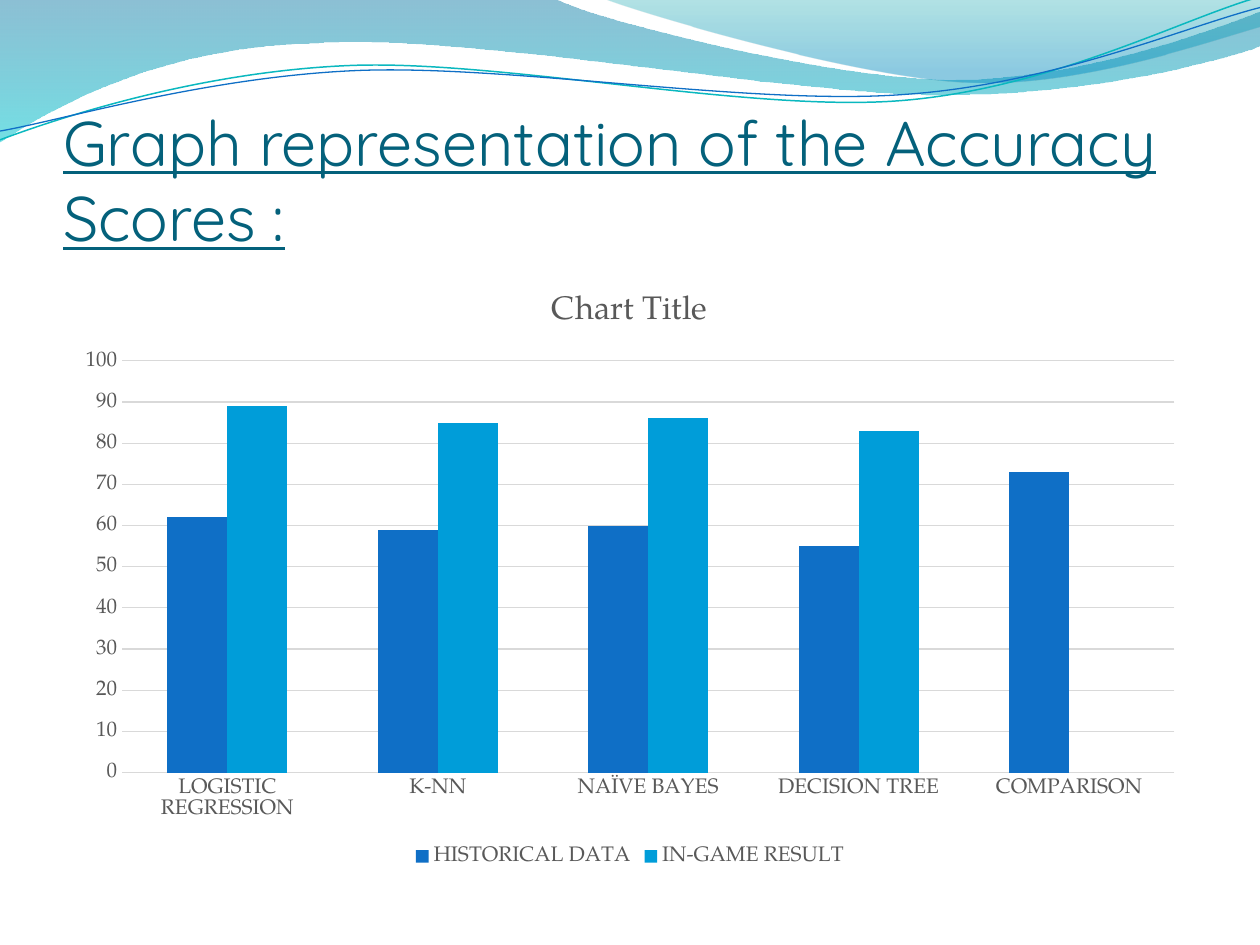
from dataclasses import dataclass
from math import cos, radians, sin

from lxml.etree import SubElement
from pptx import Presentation
from pptx.chart.data import CategoryChartData
from pptx.dml.color import RGBColor
from pptx.enum.chart import XL_CHART_TYPE as ChartType
from pptx.enum.chart import XL_LEGEND_POSITION as LegendPos
from pptx.enum.chart import XL_TICK_MARK as Tick
from pptx.enum.text import MSO_ANCHOR as Anchor
from pptx.enum.text import MSO_AUTO_SIZE as AutoSize
from pptx.enum.text import PP_ALIGN as Align
from pptx.oxml.ns import qn
from pptx.util import Inches, Pt


@dataclass(frozen=True)
class Theme:
    title_font: str = "Quicksand"
    body_font: str = "TeX Gyre Pagella"
    title_size: float = 36
    chart_title_size: float = 18.6
    label_size: float = 12
    title: str = "04617B"
    label: str = "595959"
    grid: str = "D9D9D9"
    series: tuple = ("0F6FC6", "009DD9")
    teal_line: str = "0AB8BF"
    # Gradient stops: position, colour, opacity in percent
    wide_wave: tuple = ((0, "0074A1", 45), (1, "00C6CF", 55))
    right_wave: tuple = ((0, "00A1A9", 30), (0.8, "008BBF", 45))


# Each wave: a start point, then segments of one point (line) or three (curve)
WIDE_WAVE = ((0, 0), [
    [(4.4, -0.01)],
    [(4.76, 0.17), (6.64, 0.63), (7.58, 0.63)],
    [(8.53, 0.63), (9.58, 0.26), (10, 0.09)],
    [(10.01, 0.36)],
    [(9.83, 0.44), (8.7, 0.76), (7.46, 0.75)],
    [(6.22, 0.75), (3.82, 0.28), (2.57, 0.34)],
    [(1.29, 0.36), (0.46, 0.83), (-0.01, 1.13)],
    [(0, 0)],
])
RIGHT_WAVE = ((4.79, -0.01), [
    [(5.09, 0.11), (6.82, 0.62), (7.69, 0.65)],
    [(8.56, 0.69), (9.61, 0.32), (10, 0.21)],
    [(10, 0)],
    [(4.79, -0.01)],
])
TEAL_LINE = ((0, 1.11), [
    [(0.48, 0.93), (1.58, 0.57), (2.77, 0.52)],
    [(3.95, 0.47), (5.93, 0.89), (7.13, 0.8)],
    [(8.33, 0.71), (9.38, 0.15), (9.98, -0.02)],
])
BLUE_LINE = ((0, 1.04), [
    [(0.47, 0.96), (1.64, 0.61), (2.83, 0.56)],
    [(4.03, 0.51), (5.97, 0.84), (7.17, 0.75)],
    [(8.36, 0.67), (9.41, 0.21), (10, 0.06)],
])
LINE_TILT = -2.7
LINE_CENTER = (4.99, 0.58)

SCORES = {
    "HISTORICAL DATA": (62, 59, 60, 55, 73),
    "IN-GAME RESULT": (89, 85, 86, 83, None),
}
MODELS = ("LOGISTIC REGRESSION", "K-NN", "NAÏVE BAYES", "DECISION TREE", "COMPARISON")


def rgb(value):
    return RGBColor.from_string(value)


def turn(point, degrees, center):
    """Turn a point clockwise about a center."""
    a = radians(degrees)
    dx, dy = point[0] - center[0], point[1] - center[1]
    return center[0] + dx * cos(a) - dy * sin(a), center[1] + dx * sin(a) + dy * cos(a)


class SlideBuilder:
    def __init__(self, slide, theme):
        self.s = slide
        self.theme = theme

    def outline(self, wave, close, tilt=0):
        """Build a freeform, joining each three-point segment into a Bézier curve."""
        start, segments = wave
        points = [start] + [point for segment in segments for point in segment]
        points = [turn(point, -tilt, LINE_CENTER) for point in points]
        points = [(Inches(x), Inches(y)) for x, y in points]
        builder = self.s.shapes.build_freeform(*points[0])
        builder.add_line_segments(points[1:], close=close)
        sp = builder.convert_to_shape()
        sp.rotation = tilt
        sp.shadow.inherit = False
        lines = iter(list(sp.element.iter(qn("a:lnTo"))))
        for segment in segments:
            parts = [next(lines) for _ in segment]
            if len(parts) == 3:
                curve = parts[0]
                curve.tag = qn("a:cubicBezTo")
                for part in parts[1:]:
                    curve.append(part[0])
                    part.getparent().remove(part)
        return sp

    def wave(self, wave, stops):
        sp = self.outline(wave, close=True)
        sp.line.fill.background()
        sp.fill.gradient()
        sp.fill.gradient_angle = 270
        for stop, (position, color, _) in zip(sp.fill.gradient_stops, stops):
            stop.position = position
            stop.color.rgb = rgb(color)
        colors = sp.element.spPr.iter(qn("a:srgbClr"))
        for clr, (_, _, opacity) in zip(colors, stops):
            SubElement(clr, qn("a:alpha"), val=str(opacity * 1000))

    def curve(self, wave, color, width):
        sp = self.outline(wave, close=False, tilt=LINE_TILT)
        sp.fill.background()
        sp.line.color.rgb = rgb(color)
        sp.line.width = Pt(width)

    def title(self, text, left, top, width, height):
        sp = self.s.shapes.title
        self.s.shapes.element.append(sp.element)  # bring in front of the waves
        sp.left, sp.top = Inches(left), Inches(top)
        sp.width, sp.height = Inches(width), Inches(height)
        tf = sp.text_frame
        tf.word_wrap = True
        tf.auto_size = AutoSize.NONE
        tf.vertical_anchor = Anchor.BOTTOM
        tf.margin_left = tf.margin_right = tf.margin_bottom = 0
        tf.margin_top = Inches(0.05)
        p = tf.paragraphs[0]
        p.alignment = Align.LEFT
        r = p.add_run()
        r.text = text
        self.format_font(r.font, self.theme.title_size, self.theme.title,
                         self.theme.title_font)
        r.font.underline = True

    def format_font(self, font, size, color, name):
        font.size = Pt(size)
        font.name = name
        font.bold = False
        font.color.rgb = rgb(color)

    def column_chart(self, title, categories, series, left, top, width, height):
        theme = self.theme
        data = CategoryChartData()
        data.categories = categories
        for name, values in series.items():
            data.add_series(name, values)
        chart = self.s.shapes.add_chart(
            ChartType.COLUMN_CLUSTERED, Inches(left), Inches(top),
            Inches(width), Inches(height), data).chart

        chart.has_title = True
        r = chart.chart_title.text_frame.paragraphs[0].add_run()
        r.text = title
        self.format_font(r.font, theme.chart_title_size, theme.label, theme.body_font)
        chart.chart_title.include_in_layout = False

        chart.has_legend = True
        chart.legend.position = LegendPos.BOTTOM
        chart.legend.include_in_layout = False
        for part in (chart, chart.legend, chart.category_axis.tick_labels,
                     chart.value_axis.tick_labels):
            self.format_font(part.font, theme.label_size, theme.label, theme.body_font)

        for axis in (chart.category_axis, chart.value_axis):
            axis.major_tick_mark = axis.minor_tick_mark = Tick.NONE
            axis.format.line.fill.background()
        axis = chart.value_axis
        axis.minimum_scale, axis.maximum_scale, axis.major_unit = 0, 100, 10
        axis.major_gridlines.format.line.color.rgb = rgb(theme.grid)
        axis.major_gridlines.format.line.width = Pt(0.75)

        plot = chart.plots[0]
        plot.gap_width, plot.overlap = 150, 0
        plot.vary_by_categories = False
        for bars, color in zip(plot.series, theme.series):
            bars.format.fill.solid()
            bars.format.fill.fore_color.rgb = rgb(color)


def main():
    prs = Presentation()
    prs.slide_width, prs.slide_height = Inches(10), Inches(7.5)
    theme = Theme()
    slide = SlideBuilder(prs.slides.add_slide(prs.slide_layouts[5]), theme)
    slide.wave(WIDE_WAVE, theme.wide_wave)
    slide.wave(RIGHT_WAVE, theme.right_wave)
    slide.curve(TEAL_LINE, theme.teal_line, 0.85)
    slide.curve(BLUE_LINE, theme.series[0], 0.75)
    slide.title("Graph representation of the Accuracy Scores :", 0.5, 0.77, 9, 1.25)
    slide.column_chart("Chart Title", MODELS, SCORES, 0.5, 2.12, 9, 4.8)
    prs.save("out.pptx")


if __name__ == "__main__":
    main()
